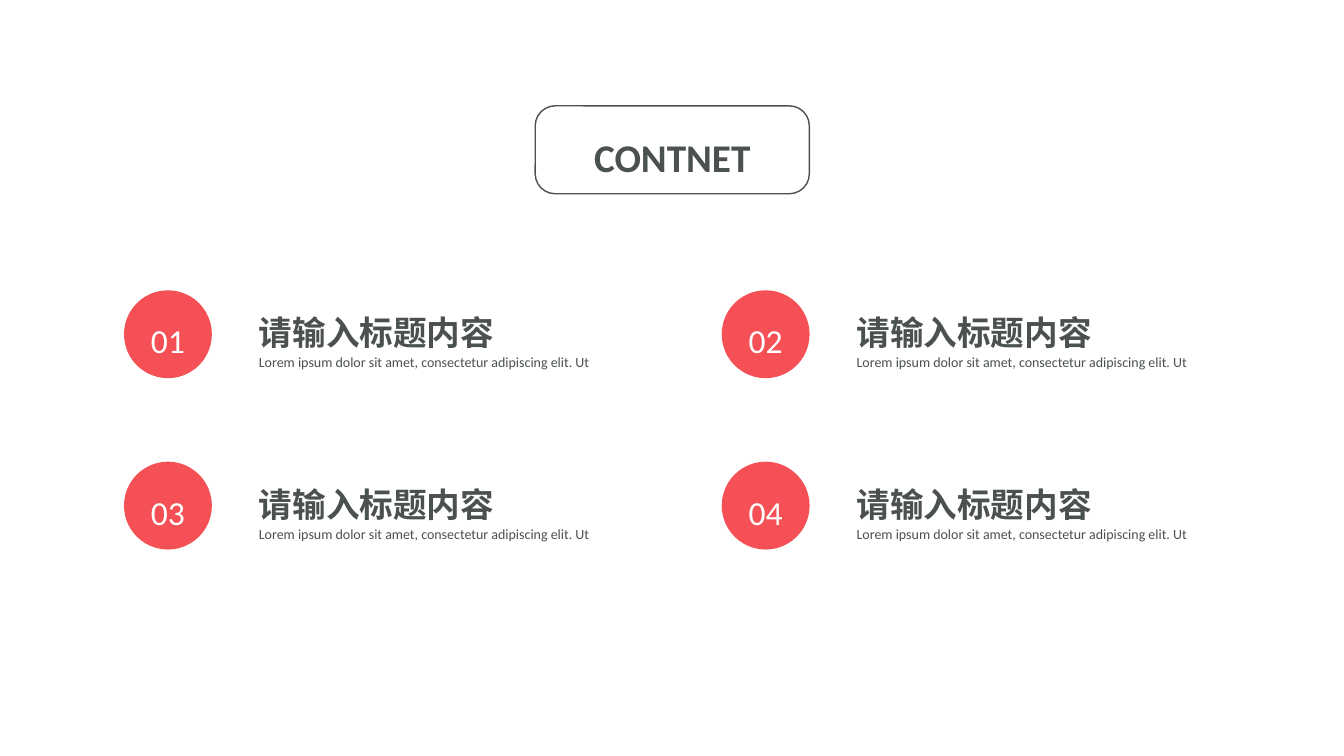
from dataclasses import dataclass

from pptx import Presentation
from pptx.dml.color import RGBColor
from pptx.enum.shapes import MSO_SHAPE
from pptx.enum.text import MSO_ANCHOR, MSO_AUTO_SIZE, PP_ALIGN
from pptx.shapes.autoshape import Shape
from pptx.slide import Slide
from pptx.util import Pt

COLORS = {"ink": "4B5050", "accent": "F55055", "white": "FFFFFF"}
FONT = "Calibri"
LEFT, TOP = 88.56, 207.36
COL_STEP, ROW_STEP = 426.96, 122.4
CIRCLE = 62.8
TEXT_DX = 89.28
FRAME = (382.3, 75.6, 195.8, 62.8)


@dataclass
class Item:
    number: str
    heading: str
    body: str


HEADING = "请输入标题内容"
BODY = "Lorem ipsum dolor sit amet, consectetur adipiscing elit. Ut"
ITEMS = [Item(f"{n:02d}", HEADING, BODY) for n in range(1, 5)]


def rgb(name: str) -> RGBColor:
    return RGBColor.from_string(COLORS[name])


def put_text(sp: Shape, text: str, *, size: float, color: str = "ink",
             bold: bool = False, align: PP_ALIGN = PP_ALIGN.LEFT,
             anchor: MSO_ANCHOR = MSO_ANCHOR.TOP, wrap: bool = True,
             grow: bool = False) -> None:
    tf = sp.text_frame
    tf.word_wrap = wrap
    tf.auto_size = MSO_AUTO_SIZE.SHAPE_TO_FIT_TEXT if grow else MSO_AUTO_SIZE.NONE
    tf.vertical_anchor = anchor
    p = tf.paragraphs[0]
    p.alignment = align
    p.line_spacing = 1.3
    r = p.add_run()
    r.text = text
    r.font.name = FONT
    r.font.size = Pt(size)
    r.font.bold = bold
    r.font.color.rgb = rgb(color)


def add_title(s: Slide, text: str) -> None:
    x, y, w, h = (Pt(v) for v in FRAME)
    frame = s.shapes.add_shape(MSO_SHAPE.ROUNDED_RECTANGLE, x, y, w, h)
    frame.shadow.inherit = False
    frame.adjustments[0] = 0.227
    frame.fill.background()
    frame.line.color.rgb = rgb("ink")
    frame.line.width = Pt(1)
    title = s.shapes.title
    title.left, title.top, title.width, title.height = x, y, w, h
    put_text(title, text, size=28, bold=True, align=PP_ALIGN.CENTER,
             anchor=MSO_ANCHOR.MIDDLE)


def add_item(s: Slide, item: Item, x: float, y: float) -> None:
    circle = s.shapes.add_shape(MSO_SHAPE.OVAL, Pt(x), Pt(y), Pt(CIRCLE), Pt(CIRCLE))
    circle.shadow.inherit = False
    circle.fill.solid()
    circle.fill.fore_color.rgb = rgb("accent")
    circle.line.fill.background()
    put_text(circle, item.number, size=24, color="white",
             align=PP_ALIGN.CENTER, anchor=MSO_ANCHOR.MIDDLE)

    text_x = Pt(x + TEXT_DX)
    heading = s.shapes.add_textbox(text_x, Pt(y + 3.6), Pt(184.3), Pt(41.8))
    put_text(heading, item.heading, size=24, bold=True, wrap=False, grow=True)
    body = s.shapes.add_textbox(text_x, Pt(y + 38.16), Pt(277.2), Pt(21.6))
    put_text(body, item.body, size=10, grow=True)


def main() -> None:
    prs = Presentation()
    prs.slide_width, prs.slide_height = Pt(960), Pt(540)
    s = prs.slides.add_slide(prs.slide_layouts[5])
    add_title(s, "CONTNET")
    for i, item in enumerate(ITEMS):
        row, col = divmod(i, 2)
        add_item(s, item, LEFT + col * COL_STEP, TOP + row * ROW_STEP)
    prs.save("out.pptx")


if __name__ == "__main__":
    main()
